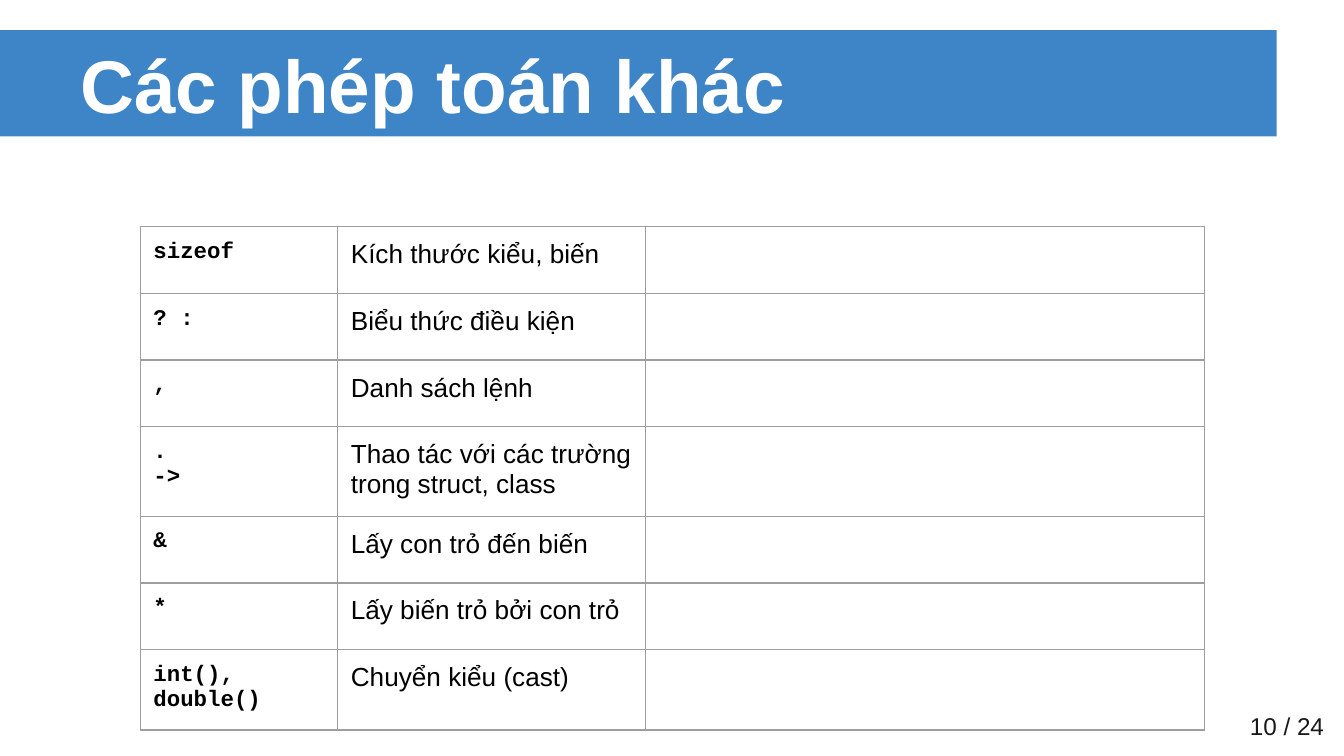
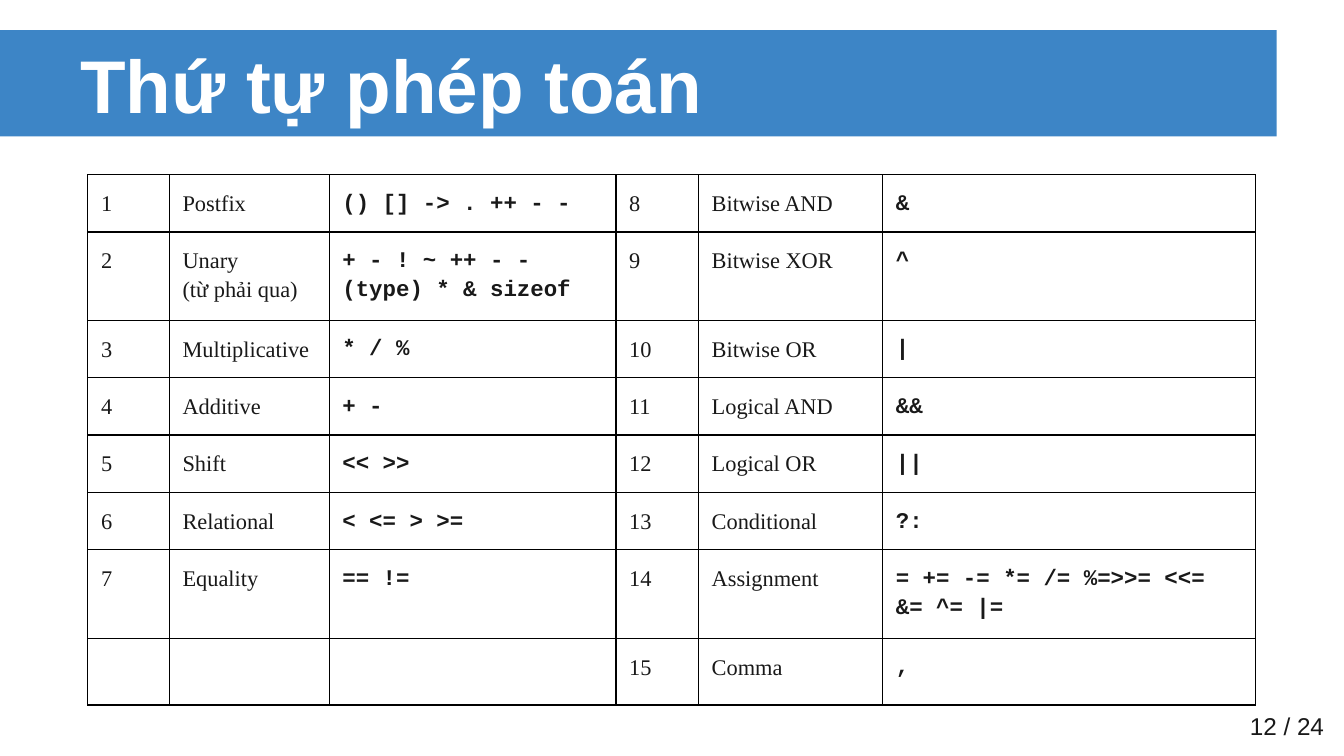
"""Builds two slides on C++ operators: the remaining operators and their precedence."""
from dataclasses import dataclass

from lxml.etree import SubElement
from pptx import Presentation
from pptx.dml.color import RGBColor
from pptx.enum.shapes import MSO_SHAPE
from pptx.enum.text import MSO_ANCHOR as Anchor, PP_ALIGN as Align
from pptx.oxml.ns import qn
from pptx.slide import Slide
from pptx.table import _Cell as Cell
from pptx.text.text import TextFrame
from pptx.util import Cm, Pt

BLUE, WHITE, BLACK, INK, GREY = "3D85C6", "FFFFFF", "000000", "191919", "9E9E9E"
INSET = Cm(0.25)
SLIDE_TOTAL = 24


@dataclass(frozen=True)
class TextStyle:
    """Look of one piece of text."""
    font: str
    size: int
    colour: str
    bold: bool = False
    spacing: float | None = None
    align: Align = Align.LEFT


@dataclass(frozen=True)
class Box:
    """Place of an element in centimetres."""
    left: float
    top: float
    width: float
    height: float


@dataclass(frozen=True)
class Column:
    """Width in centimetres and text style of a table column."""
    width: float
    style: TextStyle


@dataclass(frozen=True)
class OperatorTable:
    """Place, look and wording of one table."""
    left: float
    top: float
    row_height: float
    border: str
    columns: tuple[Column, ...]
    rows: tuple[tuple[str, ...], ...]


@dataclass(frozen=True)
class Page:
    """One slide: title, number and table."""
    title: str
    number: int
    table: OperatorTable


TITLE = TextStyle("Arial", 40, WHITE, bold=True)
FOOTER = TextStyle("Arial", 13, INK, align=Align.RIGHT)
EMPTY = TextStyle("Arial", 18, BLACK)
SYMBOL = TextStyle("Courier New", 12, BLACK, bold=True)
MEANING = TextStyle("Arial", 14, BLACK)
LEVEL = TextStyle("Times New Roman", 12, INK, spacing=1.15)
OPERATORS = TextStyle("Courier New", 12, INK, bold=True, spacing=1.15)

BAND_BOX = Box(0, 0.57, 24.13, 2.01)
TITLE_BOX = Box(1.27, 0.57, 22.86, 2.01)
FOOTER_BOX = Box(22.25, 13.18, 3.02, 1.09)

OTHER_OPERATORS = OperatorTable(
    2.65, 4.28, 1.07, GREY,
    (Column(3.73, SYMBOL), Column(5.82, MEANING), Column(10.57, MEANING)),
    (
        ("sizeof", "Kích thước kiểu, biến", ""),
        ("? :", "Biểu thức điều kiện", ""),
        (",", "Danh sách lệnh", ""),
        (".\n->", "Thao tác với các trường trong struct, class", ""),
        ("&", "Lấy con trỏ đến biến", ""),
        ("*", "Lấy biến trỏ bởi con trỏ", ""),
        ("int(), double()", "Chuyển kiểu (cast)", ""),
    ),
)

PRECEDENCE = OperatorTable(
    1.66, 3.3, 0.53, BLACK,
    (
        Column(1.54, LEVEL), Column(3.02, LEVEL), Column(5.42, OPERATORS),
        Column(1.56, LEVEL), Column(3.48, LEVEL), Column(7.05, OPERATORS),
    ),
    (
        ("1", "Postfix", "() [] -> . ++ - -", "8", "Bitwise AND", "&"),
        ("2", "Unary\n(từ phải qua)", "+ - ! ~ ++ - - (type) * & sizeof",
         "9", "Bitwise XOR", "^"),
        ("3", "Multiplicative", "* / %", "10", "Bitwise OR", "|"),
        ("4", "Additive", "+ -", "11", "Logical AND", "&&"),
        ("5", "Shift", "<< >>", "12", "Logical OR", "||"),
        ("6", "Relational", "< <= > >=", "13", "Conditional", "?:"),
        ("7", "Equality", "== !=", "14", "Assignment",
         "= += -= *= /= %=>>= <<= &= ^= |="),
        ("", "", "", "15", "Comma", ","),
    ),
)

PAGES = (
    Page("Các phép toán khác", 10, OTHER_OPERATORS),
    Page("Thứ tự phép toán", 12, PRECEDENCE),
)


def rgb(colour: str) -> RGBColor:
    """Turn a hex string into a colour."""
    return RGBColor.from_string(colour)


def lengths(box: Box) -> tuple[Cm, ...]:
    """Give the place of a box as lengths."""
    return Cm(box.left), Cm(box.top), Cm(box.width), Cm(box.height)


def write(frame: TextFrame, text: str, style: TextStyle) -> None:
    """Fill a text frame, one paragraph per line, in one style."""
    frame.text = text
    for paragraph in frame.paragraphs:
        paragraph.alignment = style.align
        if style.spacing:
            paragraph.line_spacing = style.spacing
        font = paragraph.font
        font.name, font.size, font.bold = style.font, Pt(style.size), style.bold
        font.color.rgb = rgb(style.colour)


def add_label(slide: Slide, box: Box, text: str, style: TextStyle) -> None:
    """Add a vertically centred text box."""
    frame = slide.shapes.add_textbox(*lengths(box)).text_frame
    frame.word_wrap = True
    frame.vertical_anchor = Anchor.MIDDLE
    frame.margin_left = frame.margin_right = INSET
    frame.margin_top = frame.margin_bottom = INSET
    write(frame, text, style)


def add_band(slide: Slide) -> None:
    """Add the blue band behind the title."""
    band = slide.shapes.add_shape(MSO_SHAPE.RECTANGLE, *lengths(BAND_BOX))
    band.shadow.inherit = False
    band.fill.solid()
    band.fill.fore_color.rgb = rgb(BLUE)
    band.line.fill.background()


def set_borders(cell: Cell, colour: str) -> None:
    """Draw a thin line on all four sides of a cell."""
    properties = cell._tc.get_or_add_tcPr()
    for side in ("a:lnL", "a:lnR", "a:lnT", "a:lnB"):
        line = SubElement(properties, qn(side), w=str(Pt(0.75)))
        fill = SubElement(line, qn("a:solidFill"))
        SubElement(fill, qn("a:srgbClr"), val=colour)


def fill_cell(cell: Cell, text: str, style: TextStyle, border: str) -> None:
    """Write and frame one table cell."""
    cell.margin_left = cell.margin_right = INSET
    cell.margin_top = cell.margin_bottom = INSET
    set_borders(cell, border)
    cell.fill.background()
    if text:
        write(cell.text_frame, text, style)
    else:
        end = SubElement(cell.text_frame.paragraphs[0]._p, qn("a:endParaRPr"),
                         sz=str(EMPTY.size * 100))
        SubElement(end, qn("a:latin"), typeface=EMPTY.font)


def add_operator_table(slide: Slide, content: OperatorTable) -> None:
    """Add a plain bordered table whose rows grow with their text."""
    count = len(content.rows)
    box = Box(content.left, content.top,
              sum(column.width for column in content.columns),
              content.row_height * count)
    table = slide.shapes.add_table(count, len(content.columns), *lengths(box)).table
    table.first_row = table.horz_banding = False
    for index, column in enumerate(content.columns):
        table.columns[index].width = Cm(column.width)
    for row, texts in zip(table.rows, content.rows):
        row.height = Cm(content.row_height)
        for cell, text, column in zip(row.cells, texts, content.columns):
            fill_cell(cell, text, column.style, content.border)


def main() -> None:
    """Build and save the presentation."""
    deck = Presentation()
    deck.slide_width, deck.slide_height = Cm(25.4), Cm(14.29)
    for page in PAGES:
        slide = deck.slides.add_slide(deck.slide_layouts[6])
        add_band(slide)
        add_label(slide, TITLE_BOX, page.title, TITLE)
        add_operator_table(slide, page.table)
        add_label(slide, FOOTER_BOX, f"{page.number} / {SLIDE_TOTAL}", FOOTER)
    deck.save("out.pptx")


if __name__ == "__main__":
    main()
